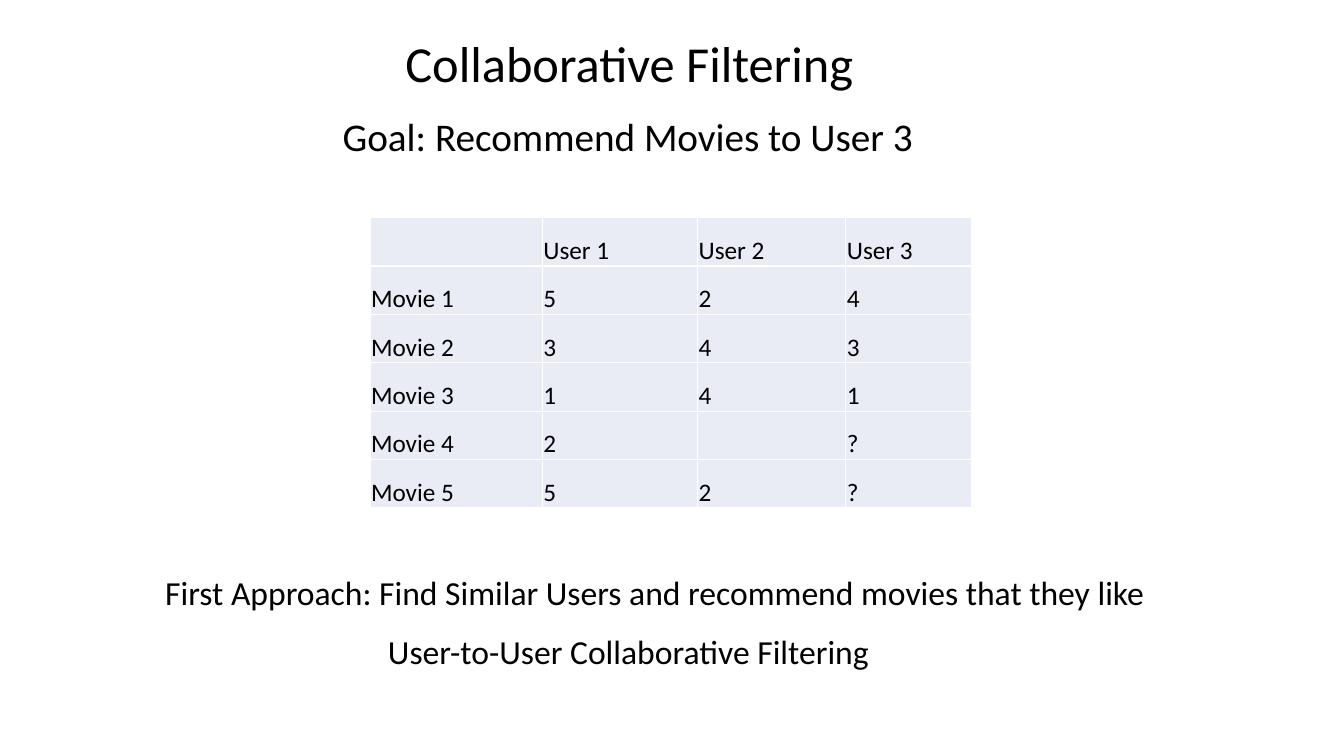
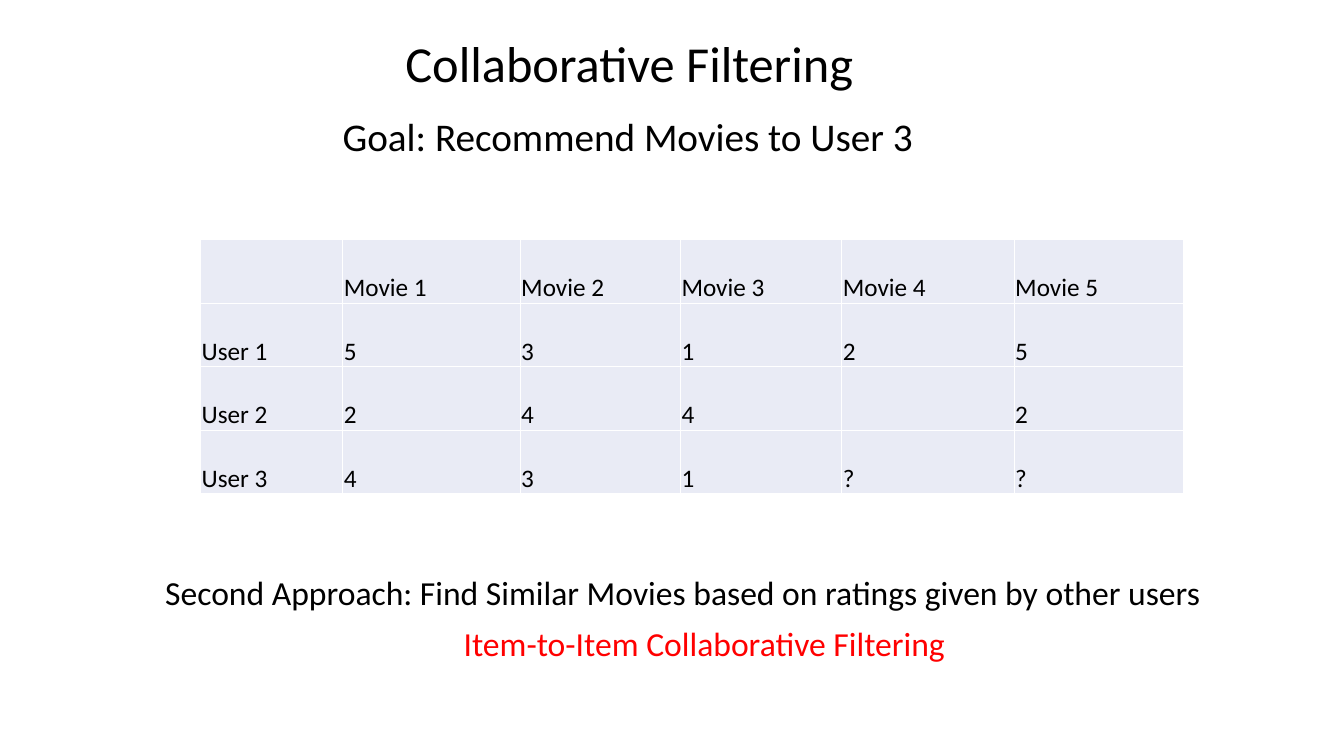
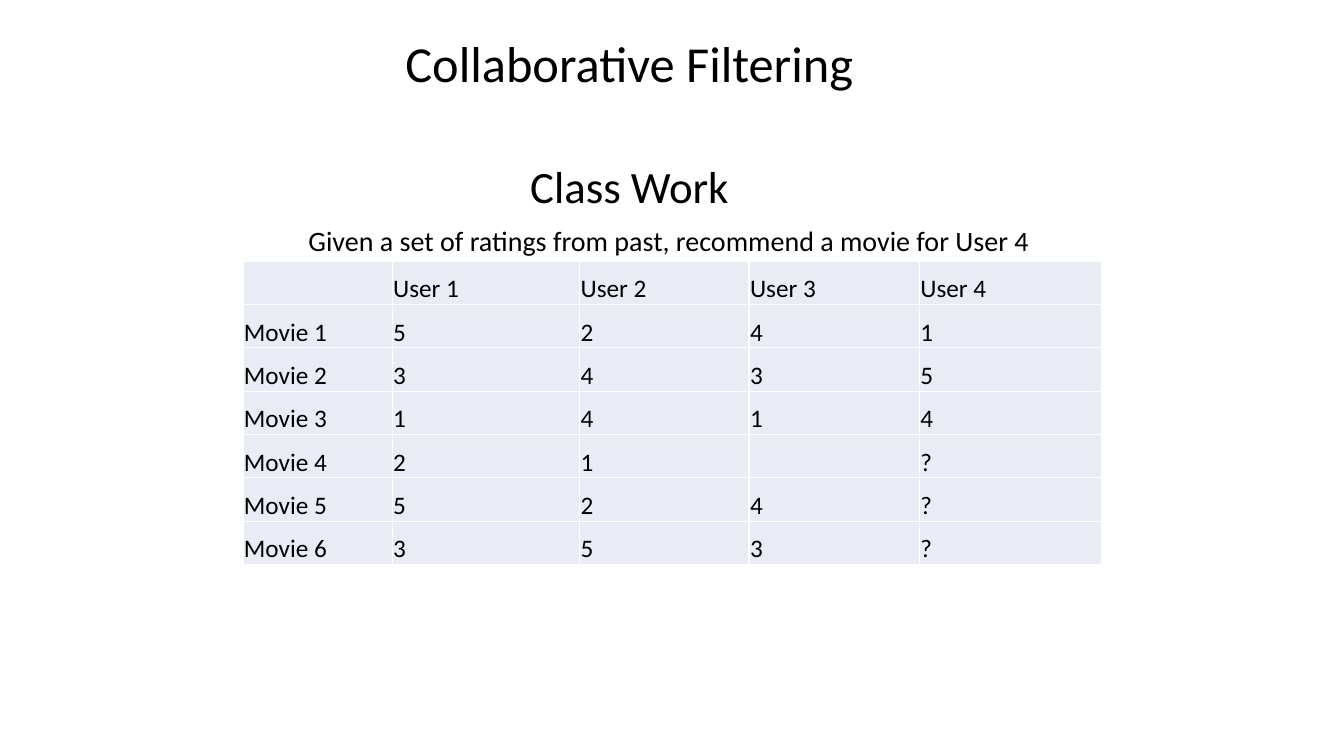
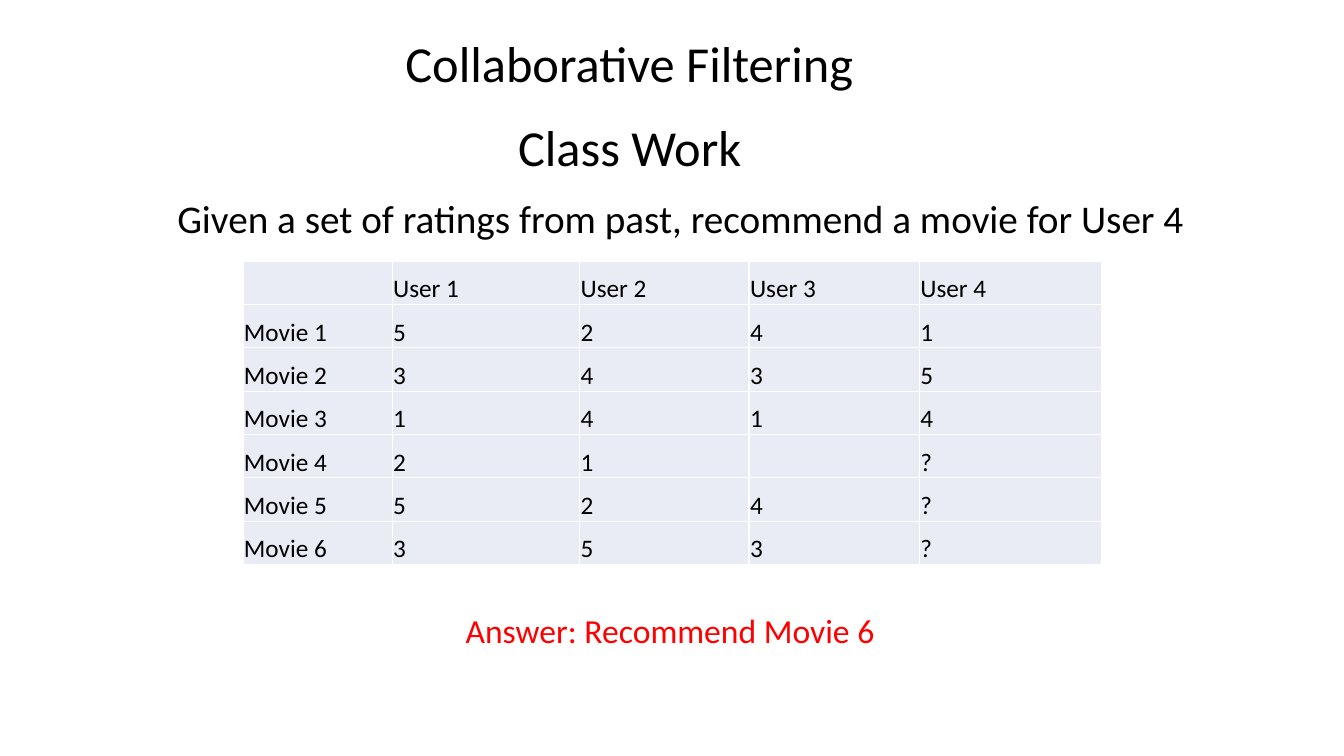
import pptx
import pptx.dml.color
import pptx.enum.text
import pptx.oxml
import pptx.oxml.ns
import pptx.util

Inches = pptx.util.Inches
COLORS = {"text": "000000", "accent": "FF0000", "cell": "E9EBF5", "border": "FFFFFF"}
FONT = "Calibri"
TITLE = "Collaborative Filtering"
GOAL = "Goal: Recommend Movies to User 3"
TASK = "Given a set of ratings from past, recommend a movie for User 4"

LESSON_RATINGS = [
    ["", "User 1", "User 2", "User 3"],
    ["Movie 1", "5", "2", "4"],
    ["Movie 2", "3", "4", "3"],
    ["Movie 3", "1", "4", "1"],
    ["Movie 4", "2", "", "?"],
    ["Movie 5", "5", "2", "?"],
]
CLASS_RATINGS = [
    ["", "User 1", "User 2", "User 3", "User 4"],
    ["Movie 1", "5", "2", "4", "1"],
    ["Movie 2", "3", "4", "3", "5"],
    ["Movie 3", "1", "4", "1", "4"],
    ["Movie 4", "2", "1", "", "?"],
    ["Movie 5", "5", "2", "4", "?"],
    ["Movie 6", "3", "5", "3", "?"],
]


def rgb(name):
    return pptx.dml.color.RGBColor.from_string(COLORS[name])


class Deck:
    def __init__(self):
        self.deck = pptx.Presentation()
        self.deck.slide_width = Inches(13.33)
        self.deck.slide_height = Inches(7.5)
        self.page = None

    def new_page(self):
        self.page = self.deck.slides.add_slide(self.deck.slide_layouts[5])
        title = self.page.shapes.title
        title.left, title.top = Inches(3.92), Inches(0.27)
        title.width, title.height = Inches(4.69), Inches(0.71)
        self.fill_box(title, TITLE, 36)

    def fill_box(self, box, text, size, color="text"):
        """Fill a box with one unwrapped line, starting at its top left."""
        frame = box.text_frame
        frame.text = text
        frame.word_wrap = False
        frame.auto_size = pptx.enum.text.MSO_AUTO_SIZE.SHAPE_TO_FIT_TEXT
        frame.vertical_anchor = pptx.enum.text.MSO_ANCHOR.TOP
        frame.paragraphs[0].alignment = pptx.enum.text.PP_ALIGN.LEFT
        self.style(frame.paragraphs[0], size, color)

    def style(self, paragraph, size, color="text"):
        for span in paragraph.runs:
            span.font.name = FONT
            span.font.size = pptx.util.Pt(size)
            span.font.color.rgb = rgb(color)

    def line(self, text, left, top, width, height, size, color="text"):
        box = self.page.shapes.add_textbox(
            Inches(left), Inches(top), Inches(width), Inches(height))
        self.fill_box(box, text, size, color)

    def table(self, rows, left, top, widths, row_height):
        table = self.page.shapes.add_table(
            len(rows), len(widths), Inches(left), Inches(top),
            Inches(sum(widths)), Inches(row_height * len(rows))).table
        table.first_row = table.horz_banding = False
        for column, width in zip(table.columns, widths):
            column.width = Inches(width)
        for row, texts in zip(table.rows, rows):
            row.height = Inches(row_height)
            for cell, text in zip(row.cells, texts):
                self.cell(cell, text)

    def cell(self, cell, text):
        cell.text = text
        cell.margin_left = cell.margin_right = cell.margin_top = Inches(0.01)
        cell.margin_bottom = 0
        cell.vertical_anchor = pptx.enum.text.MSO_ANCHOR.BOTTOM
        self.style(cell.text_frame.paragraphs[0], 18)
        properties = cell._tc.get_or_add_tcPr()
        for side in ("lnL", "lnR", "lnT", "lnB"):
            properties.append(pptx.oxml.parse_xml(
                f'<a:{side} {pptx.oxml.ns.nsdecls("a")} w="12700"><a:solidFill>'
                f'<a:srgbClr val="{COLORS["border"]}"/></a:solidFill></a:{side}>'))
        cell.fill.solid()
        cell.fill.fore_color.rgb = rgb("cell")

    def class_table(self):
        self.table(CLASS_RATINGS, 2.41, 2.59, [1.48, 1.86, 1.68, 1.69, 1.81], 0.43)

    def goal(self):
        self.line(GOAL, 3.3, 1.07, 5.92, 0.57, 28)


def main():
    deck = Deck()

    deck.new_page()
    deck.goal()
    deck.table(LESSON_RATINGS, 3.67, 2.16, [1.71, 1.54, 1.47, 1.25], 0.48)
    deck.line("First Approach: Find Similar Users and recommend movies that they like",
              1.54, 5.62, 10, 0.5, 24)
    deck.line("User-to-User Collaborative Filtering", 3.75, 6.21, 5.03, 0.5, 24)

    deck.new_page()
    deck.goal()
    by_user = list(zip(*LESSON_RATINGS))
    deck.table(by_user, 1.99, 2.38, [1.41, 1.76, 1.59, 1.6, 1.71, 1.68], 0.63)
    deck.line("Second Approach: Find Similar Movies based on ratings given by other users",
              1.54, 5.62, 10.57, 0.5, 24)
    deck.line("Item-to-Item Collaborative Filtering", 4.5, 6.13, 5.02, 0.5, 24, "accent")

    deck.new_page()
    deck.line("Class Work", 5.16, 1.53, 2.19, 0.64, 32)
    deck.line(TASK, 2.96, 2.17, 7.42, 0.44, 20)
    deck.class_table()

    deck.new_page()
    deck.line("Class Work", 5.04, 1.1, 2.44, 0.71, 36)
    deck.line(TASK, 1.66, 1.88, 10.25, 0.57, 28)
    deck.class_table()
    deck.line("Answer: Recommend Movie 6", 4.52, 6, 4.29, 0.5, 24, "accent")

    deck.deck.save("out.pptx")


if __name__ == "__main__":
    main()
